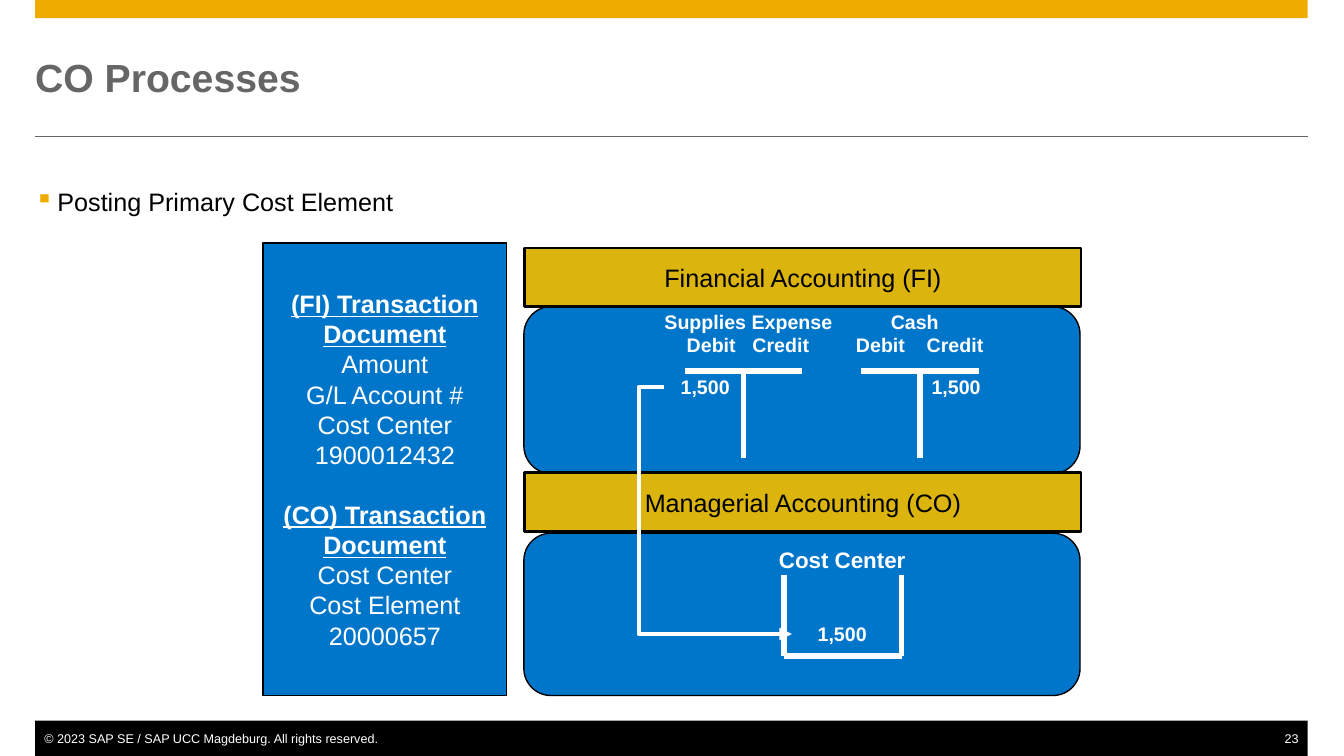
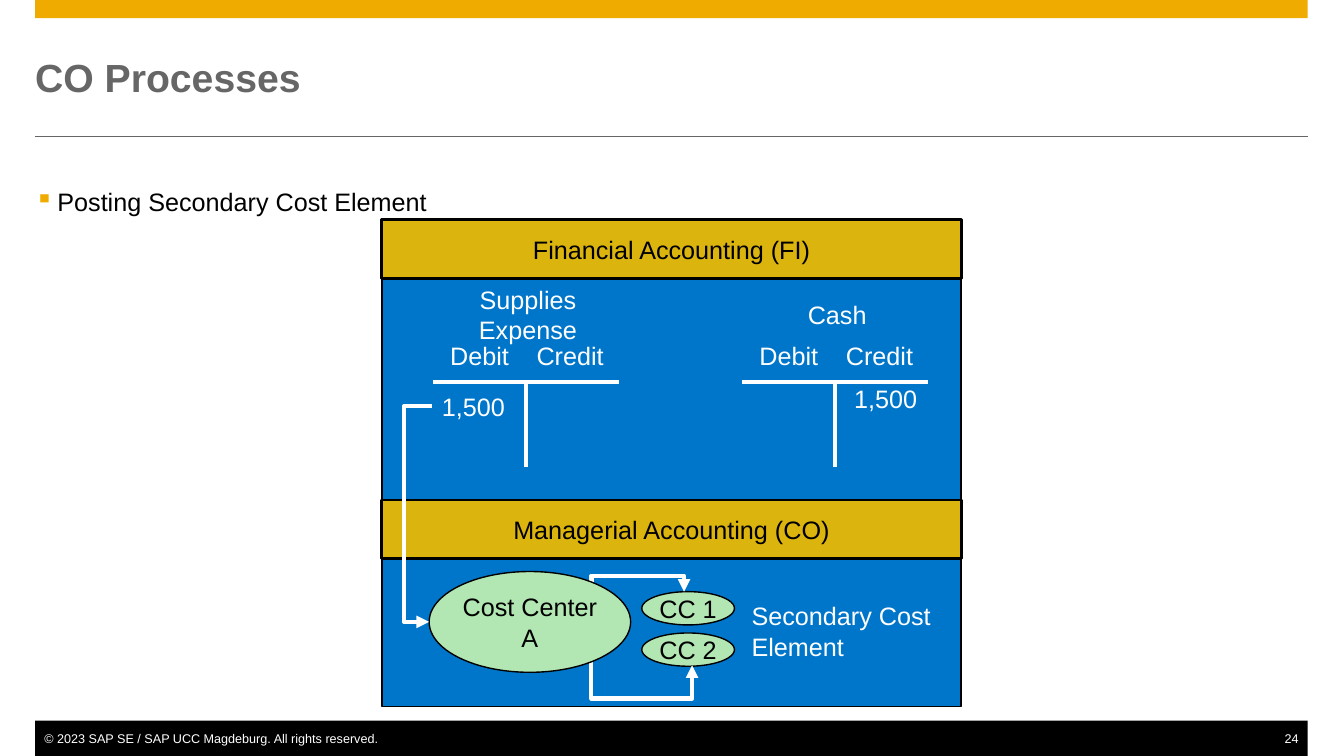
from dataclasses import dataclass

from lxml import etree
from pptx import Presentation
from pptx.dml.color import RGBColor
from pptx.enum.shapes import MSO_CONNECTOR, MSO_SHAPE
from pptx.enum.text import MSO_ANCHOR, PP_ALIGN
from pptx.oxml.ns import qn
from pptx.shapes.autoshape import Shape
from pptx.shapes.connector import Connector
from pptx.slide import Slide
from pptx.util import Emu, Inches, Pt

RECT, ROUNDED, OVAL = MSO_SHAPE.RECTANGLE, MSO_SHAPE.ROUNDED_RECTANGLE, MSO_SHAPE.OVAL
STRAIGHT, ELBOW = MSO_CONNECTOR.STRAIGHT, MSO_CONNECTOR.ELBOW
LEFT, CENTER, RIGHT = PP_ALIGN.LEFT, PP_ALIGN.CENTER, PP_ALIGN.RIGHT
TOP, MIDDLE = MSO_ANCHOR.TOP, MSO_ANCHOR.MIDDLE

FONT = "Arial"
ORANGE, GOLD, BLUE, GREEN = "F0AB00", "DBB40D", "0076CB", "B2E6B2"
GREY, BLACK, WHITE = "666666", "000000", "FFFFFF"
SLIDE_WIDTH, SLIDE_HEIGHT = Inches(13.34), Inches(7.5)
COLUMN, ROW = SLIDE_WIDTH / 133.4, SLIDE_HEIGHT / 75
MARGIN, CONTENT = 3.5, 126.3
COPYRIGHT = "© 2023 SAP SE / SAP UCC Magdeburg. All rights reserved."


@dataclass(frozen=True)
class Point:
    """A place in grid columns and rows."""
    col: float
    row: float


@dataclass(frozen=True)
class Box:
    """A rectangle in grid columns and rows."""
    col: float
    row: float
    cols: float
    rows: float

    def emu(self) -> tuple[Emu, ...]:
        """Return left, top, width and height."""
        return tuple(Emu(round(n)) for n in (
            self.col * COLUMN, self.row * ROW, self.cols * COLUMN, self.rows * ROW))


@dataclass(frozen=True)
class Line:
    """One paragraph, with the space before it in points."""
    text: str
    heading: bool = False
    gap: float = 0


@dataclass(frozen=True)
class Style:
    """How the text of a box looks."""
    size: float = 18
    color: str = BLACK
    bold: bool = False
    align: PP_ALIGN = CENTER
    anchor: MSO_ANCHOR = MIDDLE


@dataclass(frozen=True)
class Label:
    """A short text centred on a point."""
    text: str
    col: float
    row: float


@dataclass(frozen=True)
class Account:
    """A T account: stem column, half its bar, bar row, stem end and width."""
    stem: float
    half: float
    top: float
    bottom: float
    weight: float


@dataclass(frozen=True)
class Elbow:
    """A three-part arrow that turns at a column, or at a row if upright."""
    start: Point
    end: Point
    turn: float
    upright: bool = False


def rgb(value: str) -> RGBColor:
    """Turn a hex string into a colour."""
    return RGBColor.from_string(value)


def write(shape: Shape, lines: list[Line], style: Style, wrap: bool = False) -> None:
    """Fill a shape with styled paragraphs, without insets."""
    frame = shape.text_frame
    settings = dict(word_wrap=wrap, vertical_anchor=style.anchor, margin_left=0,
                    margin_right=0, margin_top=0, margin_bottom=0)
    for name, value in settings.items():
        setattr(frame, name, value)
    for index, line in enumerate(lines):
        paragraph = frame.add_paragraph() if index else frame.paragraphs[0]
        paragraph.alignment = style.align
        if line.gap:
            paragraph.space_before = Pt(line.gap)
        run = paragraph.add_run()
        run.text = line.text
        looks = dict(name=FONT, size=Pt(style.size), bold=style.bold or line.heading,
                     underline=line.heading)
        for name, value in looks.items():
            setattr(run.font, name, value)
        run.font.color.rgb = rgb(style.color)


def text(slide: Slide, box: Box, content: str, style: Style, wrap: bool = False) -> Shape:
    """Add a text box, one paragraph for each line of the content."""
    area = slide.shapes.add_textbox(*box.emu())
    write(area, [Line(part) for part in content.split("\n")], style, wrap)
    return area


def panel(slide: Slide, kind: MSO_SHAPE, box: Box, fill: str, outline: float = 0) -> Shape:
    """Add a filled shape, with a black outline if a width is given."""
    area = slide.shapes.add_shape(kind, *box.emu())
    area.shadow.inherit = False
    area.fill.solid()
    area.fill.fore_color.rgb = rgb(fill)
    if outline:
        area.line.color.rgb = rgb(BLACK)
        area.line.width = Pt(outline)
    else:
        area.line.fill.background()
    return area


def connect(slide: Slide, start: Point, end: Point, weight: float,
            color: str = WHITE, kind: MSO_CONNECTOR = STRAIGHT) -> Connector:
    """Draw a plain connector between two points."""
    ends = (start.col * COLUMN, start.row * ROW, end.col * COLUMN, end.row * ROW)
    link = slide.shapes.add_connector(kind, *(Emu(round(n)) for n in ends))
    link.line.color.rgb = rgb(color)
    link.line.width = Pt(weight)
    etree.SubElement(link._element.spPr, qn("a:effectLst"))
    return link


def draw_elbow(slide: Slide, elbow: Elbow) -> None:
    """Draw a bent arrow; an upright one is laid flat and turned by 270 degrees."""
    start, end = elbow.start, elbow.end
    width, height = end.col - start.col, end.row - start.row
    share = (elbow.turn - start.col) / width
    if elbow.upright:
        share = (elbow.turn - start.row) / height
        col, row = (start.col + end.col) / 2, (start.row + end.row) / 2
        start = Point(col + height / 2, row - width / 2)
        end = Point(col - height / 2, row + width / 2)
    properties = connect(slide, start, end, 3, kind=ELBOW)._element.spPr
    if elbow.upright:
        properties.find(qn("a:xfrm")).set("rot", str(270 * 60000))
    guides = properties.find(qn("a:prstGeom")).find(qn("a:avLst"))
    etree.SubElement(guides, qn("a:gd"), name="adj1", fmla=f"val {round(share * 100000)}")
    etree.SubElement(properties.find(qn("a:ln")), qn("a:tailEnd"), type="triangle")


def draw_account(slide: Slide, account: Account) -> None:
    """Draw the bar and stem of a T account."""
    stem, half, top = account.stem, account.half, account.top
    connect(slide, Point(stem - half, top), Point(stem + half, top), account.weight)
    connect(slide, Point(stem, top), Point(stem, account.bottom), account.weight)


def draw_labels(slide: Slide, labels: list[Label], style: Style) -> None:
    """Write each label centred on its point."""
    for label in labels:
        text(slide, Box(label.col - 10, label.row - 2, 20, 4), label.text, style)


def draw_headings(slide: Slide, col: float, cols: float, rows: tuple[float, float]) -> None:
    """Draw the gold heading bars of the two accounting areas."""
    for row, name in zip(rows, ("Financial Accounting (FI)", "Managerial Accounting (CO)")):
        write(panel(slide, RECT, Box(col, row, cols, 5.8), GOLD, 2), [Line(name)], Style())


def add_page(deck: Presentation, topic: str, number: int) -> Slide:
    """Add a slide with the shared bands, title, footer and bullet."""
    slide = deck.slides.add_slide(deck.slide_layouts[6])
    panel(slide, RECT, Box(MARGIN, 0, CONTENT, 1.8), ORANGE)
    connect(slide, Point(MARGIN, 13.5), Point(MARGIN + CONTENT, 13.5), 0.5, GREY)
    panel(slide, RECT, Box(MARGIN, 71.5, CONTENT, 3.5), BLACK)
    footer = Box(MARGIN + 0.9, 72.5, CONTENT - 1.8, 1.5)
    for content, align in ((COPYRIGHT, LEFT), (str(number), RIGHT)):
        text(slide, footer, content, Style(9, WHITE, align=align, anchor=TOP), True)
    text(slide, Box(MARGIN, 3.5, CONTENT, 8.3), "CO Processes",
         Style(28, GREY, True, LEFT), True)
    bullet = text(slide, Box(MARGIN, 18.5, CONTENT, 4), topic,
                  Style(align=LEFT, anchor=TOP), True)
    properties = bullet.text_frame.paragraphs[0]._p.get_or_add_pPr()
    indent = Inches(0.22)
    properties.set("marL", str(indent))
    properties.set("indent", str(-indent))
    color = etree.SubElement(properties, qn("a:buClr"))
    etree.SubElement(color, qn("a:srgbClr"), val=ORANGE)
    etree.SubElement(properties, qn("a:buChar"), char="▪")
    return slide


def add_primary_posting(deck: Presentation) -> None:
    """Build the slide on posting a primary cost element."""
    slide = add_page(deck, "Posting Primary Cost Element", 23)
    for row, rows in ((30.4, 16.6), (52.9, 16.1)):
        panel(slide, ROUNDED, Box(52, row, 55.2, rows), BLUE, 1)
    documents = [
        Line("(FI) Transaction", True), Line("Document", True), Line("Amount"),
        Line("G/L Account #"), Line("Cost Center"), Line("1900012432"),
        Line("(CO) Transaction", True, 21), Line("Document", True),
        Line("Cost Center"), Line("Cost Element"), Line("20000657")]
    write(panel(slide, RECT, Box(26.1, 24.1, 24.2, 44.9), BLUE, 1), documents,
          Style(color=WHITE))
    for stem in (73.8, 91.3):
        draw_account(slide, Account(stem, 5.85, 36.8, 45.4, 4))
    draw_labels(slide, [
        Label("Supplies Expense", 74.3, 31.9), Label("Cash", 90.8, 31.9),
        Label("Debit", 70.6, 34.2), Label("Credit", 77.5, 34.2),
        Label("Debit", 87.4, 34.2), Label("Credit", 94.8, 34.2),
        Label("1,500", 70, 38.4), Label("1,500", 94.9, 38.4),
        Label("1,500", 83.6, 62.9)], Style(14, WHITE, True))
    draw_labels(slide, [Label("Cost Center", 83.6, 55.5)], Style(16, WHITE, True))
    left, right, top, bottom = 77.8, 89.5, 57, 65.1
    for side in (left, right):
        connect(slide, Point(side, top), Point(side, bottom), 4)
    connect(slide, Point(left, bottom), Point(right, bottom), 4)
    draw_headings(slide, 52.1, 55.2, (24.6, 46.9))
    draw_elbow(slide, Elbow(Point(65.9, 38.4), Point(78.6, 62.9), 63.4))


def add_secondary_posting(deck: Presentation) -> None:
    """Build the slide on posting a secondary cost element."""
    slide = add_page(deck, "Posting Secondary Cost Element", 24)
    area, width = 37.9, 57.5
    for row, rows in ((27.5, 22.5), (55.1, 15)):
        panel(slide, RECT, Box(area, row, width, rows), BLUE, 1)
    text(slide, Box(74.6, 55.1, 20, 15), "Secondary Cost\nElement",
         Style(color=WHITE, align=LEFT))
    for row, name in ((58.7, "CC 1"), (62.8, "CC 2")):
        write(panel(slide, OVAL, Box(63.7, row, 9.2, 3.3), GREEN, 1), [Line(name)], Style())
    draw_elbow(slide, Elbow(Point(58.7, 59.3), Point(67.9, 58.7), 57.1, True))
    draw_elbow(slide, Elbow(Point(58.7, 65.3), Point(68.7, 66), 69.3, True))
    write(panel(slide, OVAL, Box(42.6, 56.7, 20, 10), GREEN, 1),
          [Line("Cost Center"), Line("A")], Style())
    for stem, name in ((52.2, "Supplies Expense"), (82.9, "Cash")):
        draw_account(slide, Account(stem, 9.2, 37.9, 46.3, 3))
        draw_labels(slide, [
            Label(name, stem + 0.2, 31.2), Label("Debit", stem - 4.6, 35.3),
            Label("Credit", stem + 4.4, 35.3)], Style(color=WHITE))
    draw_labels(slide, [Label("1,500", 47, 40.3), Label("1,500", 87.9, 39.5)],
                Style(color=WHITE))
    draw_headings(slide, area, width, (21.8, 49.6))
    draw_elbow(slide, Elbow(Point(42.9, 40.3), Point(42.6, 61.7), 40.1))


def main() -> None:
    """Build and save the deck."""
    deck = Presentation()
    deck.slide_width, deck.slide_height = SLIDE_WIDTH, SLIDE_HEIGHT
    add_primary_posting(deck)
    add_secondary_posting(deck)
    deck.save("out.pptx")


if __name__ == "__main__":
    main()
